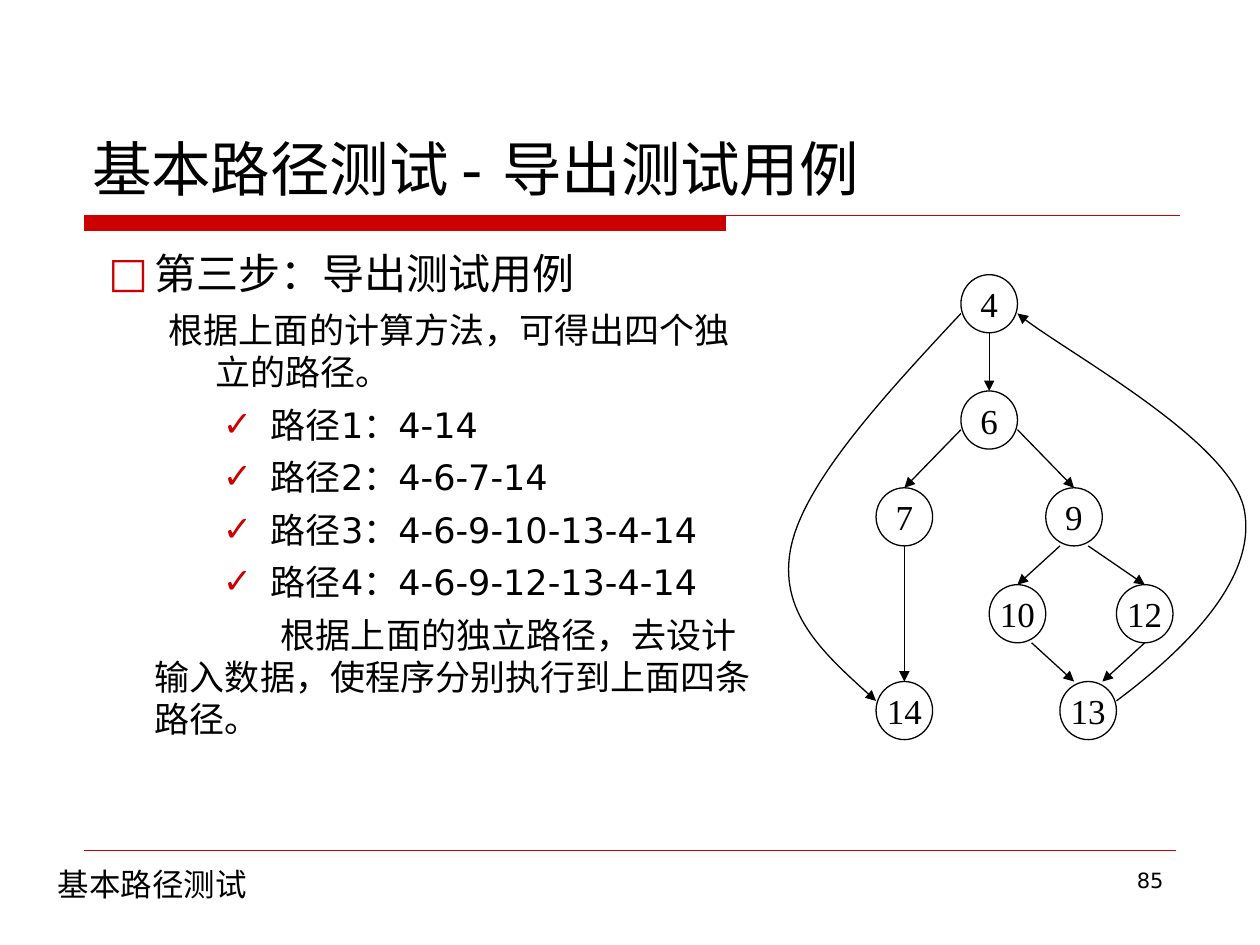
from lxml.etree import SubElement
from pptx import Presentation
from pptx.dml.color import RGBColor
from pptx.enum.shapes import MSO_CONNECTOR, MSO_SHAPE
from pptx.enum.text import MSO_ANCHOR, MSO_AUTO_SIZE, PP_ALIGN
from pptx.oxml.ns import qn
from pptx.util import Pt

COLOURS = {"accent": "CC0000", "ink": "000000"}
SANS, SERIF = "DejaVu Sans", "Times New Roman"

# The flow graph lies on a grid: a node is 4 columns wide and 3 rows high.
GRID_LEFT, GRID_TOP = 516.8, 173.6
COLUMN, ROW = 8.08, 11.07
NODES = {"4": (6, 0), "6": (6, 6), "7": (0, 11), "9": (12, 11), "10": (8, 16),
         "12": (17, 16), "13": (13, 21), "14": (0, 21)}
ARROWS = [
    ((6, 1.5), (6, 4.5)), ((4, 6.5), (0, 9.5)), ((8, 6.5), (12, 9.5)),
    ((11, 12.5), (8, 14.5)), ((13, 12.5), (17, 14.5)),
    ((9, 17.5), (12, 19.5)), ((17, 17.5), (14, 19.5)), ((0, 12.5), (0, 19.5)),
]
CURVES = [
    [(4, 0.5), (-1.5, 4.8), (-7, 9.17), (-8, 12.5), (-9, 15.86), (-5.5, 18.2), (-2, 20.5)],
    [(15, 20.5), (20.05, 17.75), (25.1, 14.05), (24, 10.5), (22.8, 7), (10.6, 2.15), (8, 0.5)],
]

# Text, level, size, left margin, first-line indent, bullet
BODY = [
    ("第三步：导出测试用例", 0, 24, 36.7, -26.6, "□"),
    ("根据上面的计算方法，可得出四个独立的路径。", 1, 20, 71.3, -26.6, None),
    *[(f"路径{number}：{route}", 2, 20, 103, -27.4, "✓") for number, route in enumerate(
        ["4-14", "4-6-7-14", "4-6-9-10-13-4-14", "4-6-9-12-13-4-14"], 1)],
    ("根据上面的独立路径，去设计输入数据，使程序分别执行到上面四条路径。", 0, 20, 36.7, 72, None),
]


def on_grid(point):
    column, row = point
    return GRID_LEFT + column * COLUMN, GRID_TOP + row * ROW


def apply(target, values):
    for name, value in values.items():
        setattr(target, name, value)


class SlideBuilder:
    def __init__(self, page):
        self.page = page
        self.shapes = page.shapes

    def colour(self, name):
        return RGBColor.from_string(COLOURS[name])

    def outline(self, shape, colour, width, arrow=False):
        shape.line.color.rgb = self.colour(colour)
        shape.line.width = Pt(width)
        if arrow:
            SubElement(shape.line._get_or_add_ln(), qn("a:tailEnd"), type="triangle")

    def place(self, shape, left, top, width, height):
        apply(shape, {"left": Pt(left), "top": Pt(top),
                      "width": Pt(width), "height": Pt(height)})

    def add_text(self, para, text, size, font=SANS, align=PP_ALIGN.LEFT):
        span = para.add_run()
        span.text = text
        apply(span.font, {"size": Pt(size), "name": font})
        span.font.color.rgb = self.colour("ink")
        para.alignment = align

    def title(self, text, *area):
        box = self.page.shapes.title
        self.place(box, *area)
        apply(box.text_frame, {"vertical_anchor": MSO_ANCHOR.BOTTOM, "word_wrap": True,
                               "auto_size": MSO_AUTO_SIZE.NONE})
        self.add_text(box.text_frame.paragraphs[0], text, 34)

    def bullet(self, para, left, indent, symbol):
        properties = para._p.get_or_add_pPr()
        properties.set("marL", str(Pt(left)))
        properties.set("indent", str(Pt(indent)))
        if symbol is None:
            SubElement(properties, qn("a:buNone"))
            return
        tint = SubElement(properties, qn("a:buClr"))
        SubElement(tint, qn("a:srgbClr"), val=COLOURS["accent"])
        SubElement(properties, qn("a:buFont"), typeface=SANS)
        SubElement(properties, qn("a:buChar"), char=symbol)

    def body(self, items, *area):
        box = self.page.placeholders[1]
        self.place(box, *area)
        frame = box.text_frame
        apply(frame, {"auto_size": MSO_AUTO_SIZE.NONE, "word_wrap": True})
        for index, (text, level, size, left, indent, symbol) in enumerate(items):
            para = frame.add_paragraph() if index else frame.paragraphs[0]
            self.bullet(para, left, indent, symbol)
            apply(para, {"level": level, "space_before": Pt(6 if index else 0)})
            self.add_text(para, text, size)

    def label(self, text, size, area, align=PP_ALIGN.LEFT, wrap=True):
        box = self.shapes.add_textbox(*map(Pt, area))
        box.text_frame.word_wrap = wrap
        self.add_text(box.text_frame.paragraphs[0], text, size, align=align)

    def line(self, start, end, colour, width, arrow=False):
        connector = self.shapes.add_connector(
            MSO_CONNECTOR.STRAIGHT, *map(Pt, (*start, *end)))
        self.outline(connector, colour, width, arrow)
        SubElement(connector._element.spPr, qn("a:effectLst"))

    def node(self, text, centre):
        x, y = on_grid(centre)
        width, height = 4 * COLUMN, 3 * ROW
        circle = self.shapes.add_shape(
            MSO_SHAPE.OVAL, *map(Pt, (x - width / 2, y - height / 2, width, height)))
        circle.shadow.inherit = False
        circle.fill.background()
        self.outline(circle, "ink", 0.75)
        frame = circle.text_frame
        apply(frame, {"margin_left": 0, "margin_right": 0, "margin_top": 0,
                      "margin_bottom": 0, "vertical_anchor": MSO_ANCHOR.MIDDLE})
        self.add_text(frame.paragraphs[0], text, 20, SERIF, PP_ALIGN.CENTER)

    def curve(self, points):
        """Draw an arrow along cubic curves: a start, then three points for each curve."""
        start, *rest = [tuple(map(Pt, on_grid(point))) for point in points]
        builder = self.shapes.build_freeform(*start)
        builder.add_line_segments(rest, close=False)
        shape = builder.convert_to_shape()
        outline_path = next(shape._element.iter(qn("a:path")))
        steps = outline_path.findall(qn("a:lnTo"))
        for first in range(0, len(steps), 3):
            cubic = SubElement(outline_path, qn("a:cubicBezTo"))
            for step in steps[first:first + 3]:
                cubic.append(step[0])
                outline_path.remove(step)
        shape.shadow.inherit = False
        shape.fill.background()
        self.outline(shape, "ink", 0.75, arrow=True)

    def title_rule(self, left, top, bar_right, bar_bottom, right):
        builder = self.shapes.build_freeform(Pt(left), Pt(top))
        corners = [(bar_right, top), (bar_right, bar_bottom), (left, bar_bottom)]
        builder.add_line_segments([tuple(map(Pt, corner)) for corner in corners])
        builder.move_to(Pt(left), Pt(top))
        builder.add_line_segments([(Pt(right), Pt(top))], close=False)
        rule = builder.convert_to_shape()
        rule.shadow.inherit = False
        rule.fill.solid()
        rule.fill.fore_color.rgb = self.colour("accent")
        self.outline(rule, "accent", 0.75)

    def flow_graph(self):
        self.shapes = self.page.shapes.add_group_shape().shapes
        for text, centre in NODES.items():
            self.node(text, centre)
        for start, end in ARROWS:
            self.line(on_grid(start), on_grid(end), "ink", 0.75, arrow=True)
        for points in CURVES:
            self.curve(points)
        self.shapes = self.page.shapes


def main():
    deck = Presentation()
    apply(deck, {"slide_width": Pt(720), "slide_height": Pt(540)})
    slide = SlideBuilder(deck.slides.add_slide(deck.slide_layouts[1]))
    slide.title_rule(48.2, 123.1, 414.7, 131.8, 674.6)
    slide.line((48.2, 486), (671.8, 486), "accent", 0.25)
    slide.label("85", 12, (516, 492, 156, 37.5), PP_ALIGN.RIGHT)
    slide.title("基本路径测试 - 导出测试用例", 45.4, 24, 630, 96)
    slide.body(BODY, 44.6, 138, 394.6, 336)
    slide.label("基本路径测试", 18, (25.9, 491, 122.4, 28.8), wrap=False)
    slide.flow_graph()
    deck.save("out.pptx")


if __name__ == "__main__":
    main()
